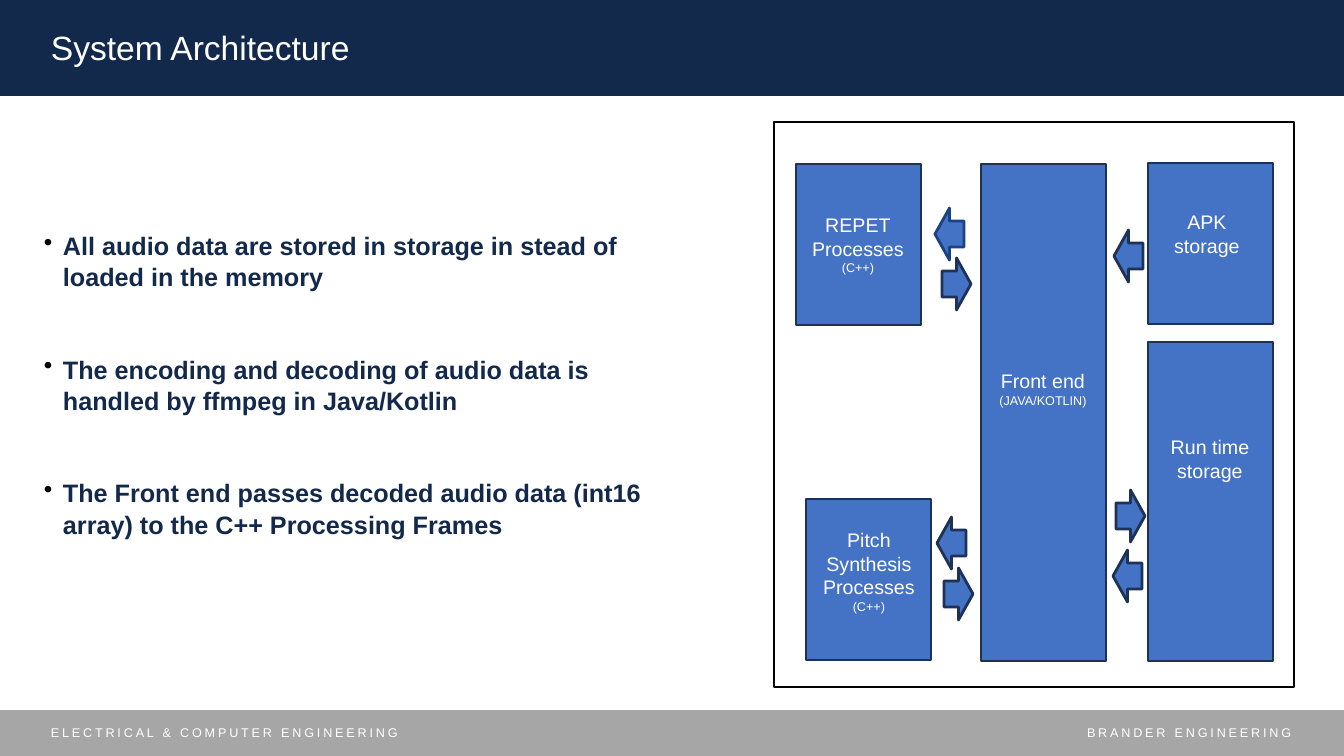
import pptx
import pptx.util
import pptx.dml.color
import pptx.enum.shapes
import pptx.enum.text
from lxml import etree

RGBColor = pptx.dml.color.RGBColor
NAVY = RGBColor(0x13, 0x29, 0x4B)
GRAY = RGBColor(0xA6, 0xA6, 0xA6)
WHITE = RGBColor(0xFF, 0xFF, 0xFF)
BLACK = RGBColor(0x00, 0x00, 0x00)
BLUE = RGBColor(0x44, 0x72, 0xC4)
OUTLINE = RGBColor(0x1E, 0x32, 0x56)
BRIGHT_OUTLINE = RGBColor(0x1B, 0x42, 0x84)

SHAPE = pptx.enum.shapes.MSO_SHAPE
ALIGN = pptx.enum.text.PP_ALIGN
PX = 914400 / 100.8
DRAWING = "http://schemas.openxmlformats.org/drawingml/2006/main"

deck = pptx.Presentation()
deck.slide_width = round(1344 * PX)
deck.slide_height = round(756 * PX)
slide = deck.slides.add_slide(deck.slide_layouts[6])


def add_block(kind, box, fill, outline=None):
    block = slide.shapes.add_shape(kind, *[round(v * PX) for v in box])
    block.shadow.inherit = False
    block.fill.solid()
    block.fill.fore_color.rgb = fill
    if outline is None:
        block.line.fill.background()
    else:
        block.line.color.rgb = outline
        block.line.width = pptx.util.Pt(2)
    return block


def add_text(box, lines, color=WHITE, align=ALIGN.LEFT):
    frame = slide.shapes.add_textbox(*[round(v * PX) for v in box]).text_frame
    frame.word_wrap = True
    for index, (text, size) in enumerate(lines):
        paragraph = frame.paragraphs[0] if index == 0 else frame.add_paragraph()
        paragraph.text = text
        paragraph.alignment = align
        paragraph.font.name = "Arial"
        paragraph.font.size = pptx.util.Pt(size)
        paragraph.font.color.rgb = color
    return frame.paragraphs


points = [
    "All audio data are stored in storage in stead of loaded in the memory",
    "The encoding and decoding of audio data is handled by ffmpeg in Java/Kotlin",
    "The Front end passes decoded audio data (int16 array) to the C++ Processing Frames",
]
for point in add_text((34, 224, 658, 395), [(text, 18) for text in points], NAVY):
    point.font.bold = True
    point.line_spacing = 1.04
    point.space_after = pptx.util.Pt(43.5)
    properties = point._p.get_or_add_pPr()
    properties.set("marL", str(round(19 * PX)))
    properties.set("indent", str(round(-19 * PX)))
    bullet_color = etree.Element(f"{{{DRAWING}}}buClr")
    etree.SubElement(bullet_color, f"{{{DRAWING}}}srgbClr", val=str(BLACK))
    bullet = etree.Element(f"{{{DRAWING}}}buChar", char="•")
    defaults = properties.find(f"{{{DRAWING}}}defRPr")
    defaults.addprevious(bullet_color)
    defaults.addprevious(bullet)

add_block(SHAPE.RECTANGLE, (0, 710, 1344, 46), GRAY)
add_block(SHAPE.RECTANGLE, (0, 0, 1344, 96), NAVY)
add_text((41, 22, 1203, 50), [("System Architecture", 24)])

footers = [
    ((41, 720, 881, 25), "ELECTRICAL & COMPUTER ENGINEERING", ALIGN.LEFT),
    ((1029, 720, 272, 25), "BRANDER ENGINEERING", ALIGN.RIGHT),
]
for box, text, align in footers:
    footer = add_text(box, [(text, 9)], align=align)[0]
    footer.runs[0]._r.get_or_add_rPr().set("spc", "200")

add_block(SHAPE.RECTANGLE, (774, 122, 520, 565), WHITE, BLACK)

components = [
    (1148, 163, 161),
    (1148, 342, 319),
    (981, 164, 497),
    (796, 164, 161),
    (806, 499, 161),
]
for left, top, height in components:
    add_block(SHAPE.RECTANGLE, (left, top, 125, height), BLUE, OUTLINE)

flows = [
    (1114, 230, 180, OUTLINE),
    (935, 208, 180, BRIGHT_OUTLINE),
    (1113, 550, 180, OUTLINE),
    (937, 517, 180, OUTLINE),
    (944, 568, 0, OUTLINE),
    (942, 258, 0, OUTLINE),
    (1116, 490, 0, OUTLINE),
]
for left, top, rotation, outline in flows:
    flow = add_block(SHAPE.RIGHT_ARROW, (left, top, 29, 52), BLUE, outline)
    flow.rotation = rotation

labels = [
    (982, 364, 49, [("Front end", 14), ("(JAVA/KOTLIN)", 9)]),
    (797, 208, 73, [("REPET", 14), ("Processes", 14), ("(C++)", 9)]),
    (808, 523, 97, [("Pitch Synthesis", 14), ("Processes", 14), ("(C++)", 9)]),
    (1146, 205, 73, [("APK storage", 14)]),
    (1149, 430, 57, [("Run time storage", 14)]),
]
for left, top, height, lines in labels:
    add_text((left, top, 122, height), lines, align=ALIGN.CENTER)

deck.save("out.pptx")
